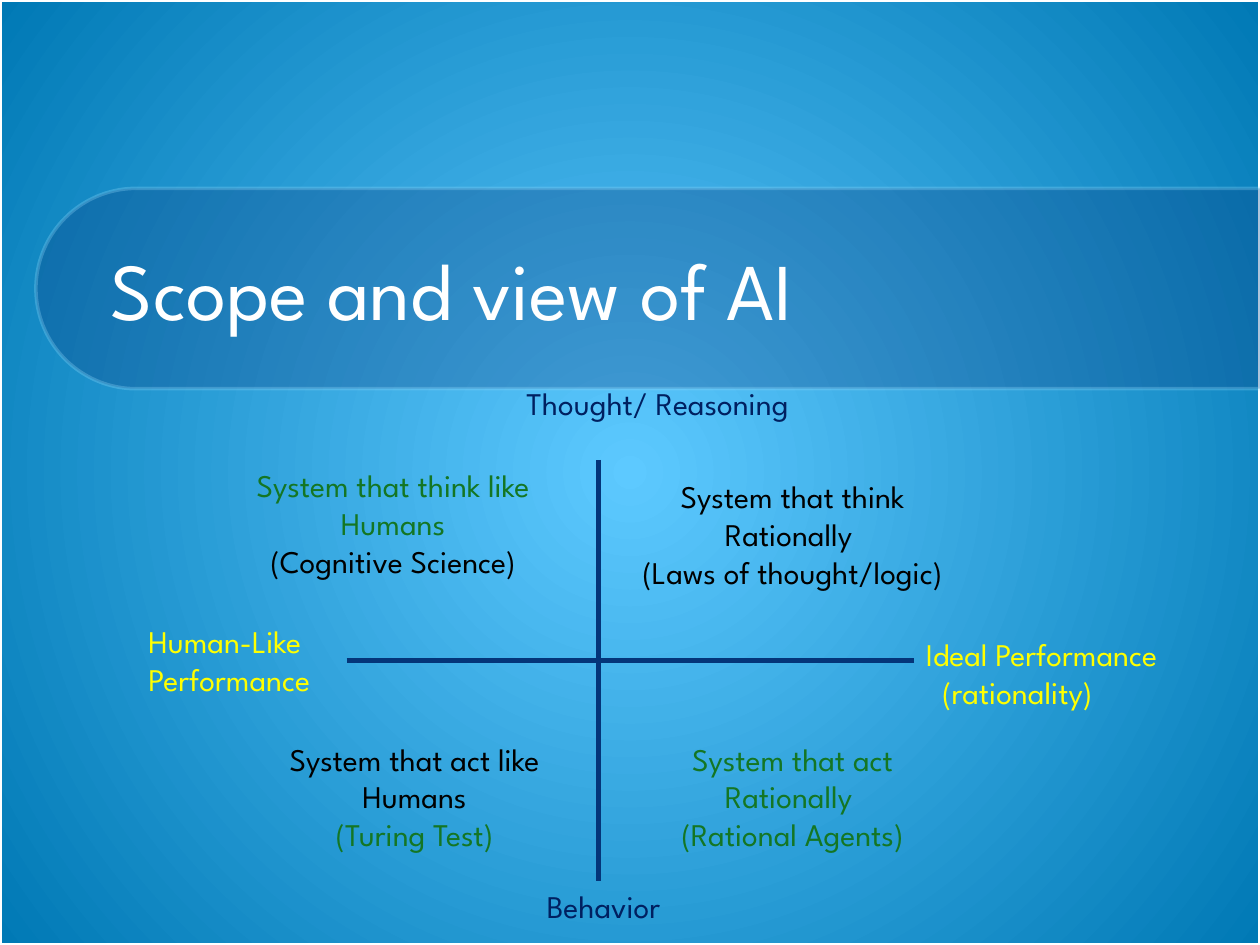
"""Build the slide on the scope and view of AI: four kinds of system on two axes."""
from lxml.etree import SubElement
from pptx import Presentation
from pptx.dml.color import RGBColor
from pptx.enum.shapes import MSO_CONNECTOR, MSO_SHAPE
from pptx.enum.text import MSO_ANCHOR, MSO_AUTO_SIZE, PP_ALIGN
from pptx.oxml.ns import qn
from pptx.util import Inches, Pt

FONT = "League Spartan"
COLORS = {
    "glow": "5DC9FF", "edge": "0079B5", "band": "073779", "rim": "8FD9FB",
    "axis": "043579", "white": "FFFFFF", "black": "000000",
    "yellow": "FFFF00", "navy": "002060", "green": "147624",
}


def rgb(name):
    return RGBColor.from_string(COLORS[name])


def write(paragraph, wording, size, color, align=PP_ALIGN.LEFT):
    paragraph.alignment = align
    run = paragraph.add_run()
    run.text = wording
    run.font.name = FONT
    run.font.size = Pt(size)
    run.font.color.rgb = rgb(color)


deck = Presentation()
deck.slide_width, deck.slide_height = Inches(10), Inches(7.5)
slide = deck.slides.add_slide(deck.slide_layouts[5])
title = slide.shapes.title

backdrop = slide.background.fill
backdrop.gradient()
for stop, color, position in zip(backdrop.gradient_stops, ("glow", "edge"), (0, 1)):
    stop.color.rgb = rgb(color)
    stop.position = position
gradient = slide.background._cSld.find(".//" + qn("a:gradFill"))
gradient.remove(gradient.find(qn("a:lin")))
radial = SubElement(gradient, qn("a:path"), {"path": "circle"})
SubElement(radial, qn("a:fillToRect"), dict.fromkeys("ltrb", "50000"))

border = slide.shapes.add_shape(MSO_SHAPE.RECTANGLE, 0, 0, deck.slide_width, deck.slide_height)
border.fill.background()
border.line.color.rgb = rgb("white")

band = slide.shapes.add_shape(
    MSO_SHAPE.ROUND_2_SAME_RECTANGLE, Inches(4.35), Inches(-2.57), Inches(1.59), Inches(9.72))
band.rotation = 270
band.adjustments[0], band.adjustments[1] = 0.5, 0
band.fill.solid()
band.fill.fore_color.rgb = rgb("band")
band.line.color.rgb = rgb("rim")
for tint in band.element.spPr.iter(qn("a:srgbClr")):
    SubElement(tint, qn("a:alpha"), val="30000")

for panel in (border, band):
    panel.shadow.inherit = False
    panel.line.width = Pt(2)
    title.element.addprevious(panel.element)

title.left, title.top, title.width, title.height = map(Inches, (0.78, 1.5, 8.44, 1.58))
title.text_frame.auto_size = MSO_AUTO_SIZE.NONE
title.text_frame.vertical_anchor = MSO_ANCHOR.MIDDLE
write(title.text_frame.paragraphs[0], "Scope and view of AI", 46, "white")

for ends in ((4.75, 3.65, 4.75, 6.99), (2.75, 5.24, 7.25, 5.24)):
    axis = slide.shapes.add_connector(MSO_CONNECTOR.STRAIGHT, *map(Inches, ends))
    axis.line.color.rgb = rgb("axis")
    axis.line.width = Pt(3)
    SubElement(axis.element.spPr, qn("a:effectLst"))

LEFT, CENTER = PP_ALIGN.LEFT, PP_ALIGN.CENTER
labels = [
    ((7.25, 4.99, 2.17, 1.01), LEFT, [("Ideal Performance", "yellow"), ("(rationality)", "yellow")]),
    ((1.08, 4.89, 2.17, 1.01), LEFT, [("Human-Like Performance", "yellow")]),
    ((4.08, 3, 2.42, 0.71), LEFT, [("Thought/ Reasoning", "navy")]),
    ((3.58, 6.99, 2.42, 0.4), CENTER, [("Behavior", "navy")]),
    ((1.83, 3.65, 2.58, 1.01), CENTER,
     [("System that think like Humans", "green"), ("(Cognitive Science)", "black")]),
    ((5, 3.74, 2.58, 1.01), CENTER,
     [("System that think Rationally ", "black"), ("(Laws of thought/logic)", "black")]),
    ((2, 5.82, 2.58, 1.31), CENTER,
     [("System that act like Humans", "black"), ("(Turing Test)", "green")]),
    ((5, 5.82, 2.58, 1.01), CENTER,
     [("System that act Rationally ", "green"), ("(Rational Agents)", "green")]),
]
for place, align, lines in labels:
    frame = slide.shapes.add_textbox(*map(Inches, place)).text_frame
    frame.word_wrap = True
    for number, (wording, color) in enumerate(lines):
        paragraph = frame.add_paragraph() if number else frame.paragraphs[0]
        write(paragraph, wording, 18, color, align)
        if number and align == LEFT:
            paragraph._p.get_or_add_pPr().set("marL", str(Inches(0.13)))

deck.save("out.pptx")
